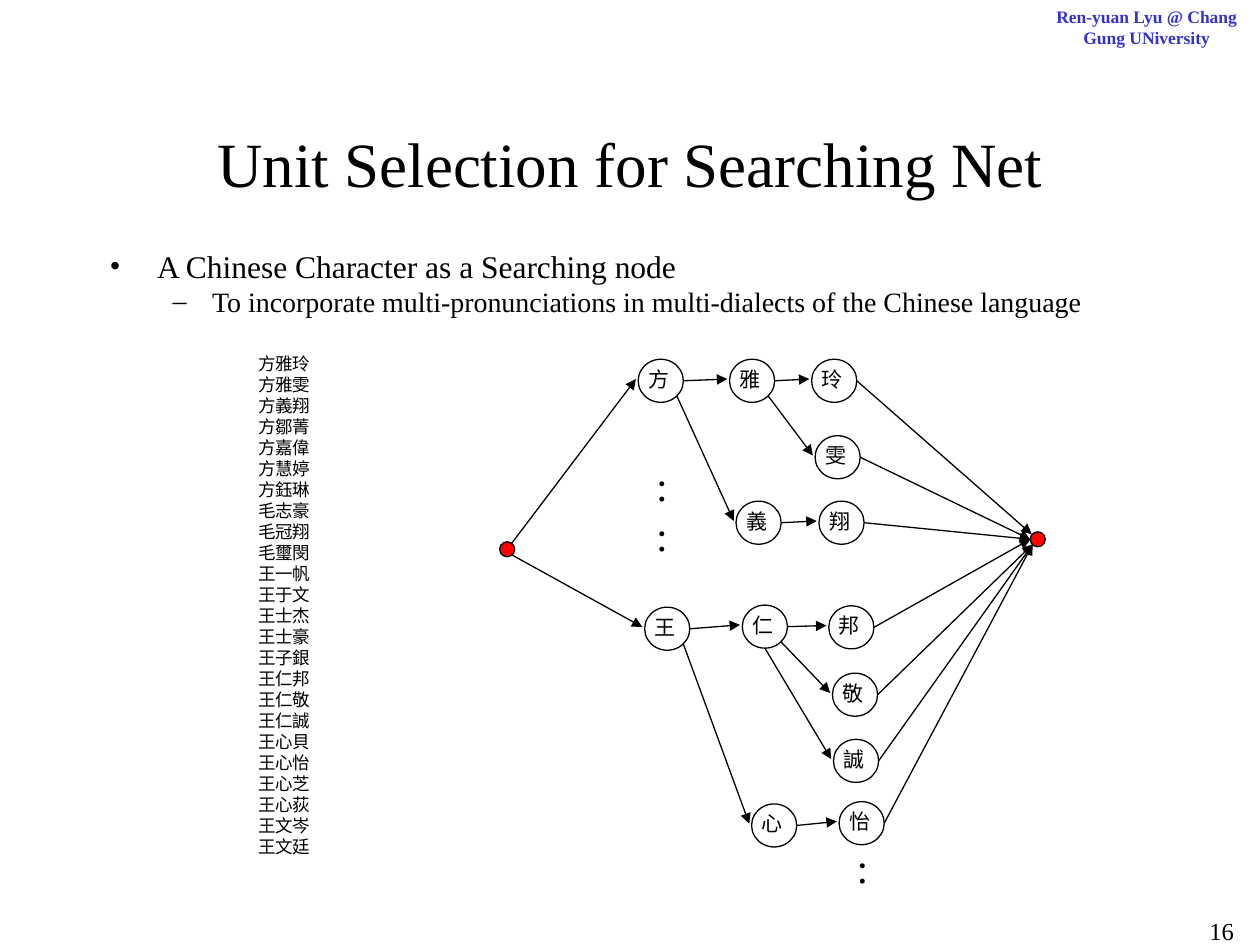
from lxml.etree import SubElement
from pptx import Presentation
from pptx.dml.color import RGBColor
from pptx.enum.shapes import MSO_CONNECTOR, MSO_SHAPE
from pptx.enum.text import MSO_ANCHOR, MSO_AUTO_SIZE, PP_ALIGN
from pptx.oxml.ns import qn
from pptx.util import Pt

# Content
TITLE = "Unit Selection for Searching Net"
# text, level, size, left margin, hanging indent, space before, bullet
OUTLINE = [
    ("A Chinese Character as a Searching node", 0, 18, 27, 27, 0, "•"),
    ("To incorporate multi-pronunciations in multi-dialects of the Chinese language",
     1, 16, 58.5, 22.5, 3.5, "–"),
]
NAMES = """方雅玲 方雅雯 方義翔 方鄒菁 方嘉偉 方慧婷 方鈺琳 毛志豪
毛冠翔 毛璽閔 王一帆 王于文 王士杰 王士豪 王子銀 王仁邦
王仁敬 王仁誠 王心貝 王心怡 王心芝 王心荻 王文岑 王文廷""".split()
AFFILIATION = "Ren-yuan Lyu @ Chang Gung UNiversity"
PAGE = "16"

# Left and top of each character node
NODES = {
    "方": (364.7, 205.3), "雅": (416.9, 205.3), "玲": (463.8, 205.3),
    "雯": (465.8, 249), "義": (420.6, 286.4), "翔": (468, 286.4),
    "王": (368.4, 347), "仁": (424.2, 345.8), "邦": (473.6, 346.2),
    "敬": (475.7, 384.7), "誠": (476.3, 422.5),
    "心": (429.5, 459.4), "怡": (479.5, 458.1),
}
START, GOAL = (285.5, 309.6), (588.7, 303.9)
# from, exit side, to
LINKS = [
    ("方", "right", "雅"), ("雅", "right", "玲"), ("雅", "corner", "雯"),
    ("方", "corner", "義"), ("義", "right", "翔"), ("王", "right", "仁"),
    ("仁", "right", "邦"), ("仁", "corner", "敬"), ("仁", "bottom", "誠"),
    ("王", "corner", "心"), ("心", "right", "怡"),
]
FIRST = [("upper", "方"), ("lower", "王")]
LAST = [("玲", "upper"), ("雯", "left"), ("翔", "left"), ("邦", "left"),
        ("敬", "lower"), ("誠", "lower"), ("怡", "lower")]
# lines of dots, left, top, height
ELLIPSES = [(2, 367.8, 258.8, 64.8), (1, 482.4, 477.4, 36)]

# Geometry
NODE_W, NODE_H, DOT = 25.8, 24.6, 8.6
LABEL_DX, LABEL_DY, LABEL_W, LABEL_H = -1.3, 0.5, 25.2, 21.6
NODE_EXIT = {"right": (NODE_W, NODE_H / 2), "corner": (22.1, 21),
             "bottom": (NODE_W / 2, NODE_H)}
START_EXIT = {"upper": (6.5, 1.4), "lower": (6.5, 7.2)}
GOAL_ENTRY = {"upper": (0.9, 1.4), "left": (0, DOT / 2), "lower": (1.4, 7.2)}

FONT = "Times New Roman"
BLACK, RED, BLUE = "000000", "FF0000", "3333CC"

prs = Presentation()
prs.slide_width, prs.slide_height = Pt(720), Pt(540)
slide = prs.slides.add_slide(prs.slide_layouts[1])
shapes = slide.shapes


def color(hex_value):
    return RGBColor.from_string(hex_value)


def shift(point, offset):
    return point[0] + offset[0], point[1] + offset[1]


def style(paragraph, size, hex_value=BLACK, bold=False):
    for run in paragraph.runs:
        run.font.name, run.font.size, run.font.bold = FONT, Pt(size), bold
        run.font.color.rgb = color(hex_value)


def place(part, left, top, width, height):
    part.left, part.top, part.width, part.height = map(Pt, (left, top, width, height))


def add_text(text, left, top, width, height, size, align=PP_ALIGN.LEFT, wrap=True,
             hex_value=BLACK, bold=False):
    box = shapes.add_textbox(Pt(left), Pt(top), Pt(width), Pt(height))
    box.text_frame.word_wrap = wrap
    if not wrap:
        box.text_frame.auto_size = MSO_AUTO_SIZE.SHAPE_TO_FIT_TEXT
    box.text_frame.text = text
    for paragraph in box.text_frame.paragraphs:
        paragraph.alignment = align
        style(paragraph, size, hex_value, bold)
    return box


def add_circle(corner, width, height, fill=None):
    circle = shapes.add_shape(MSO_SHAPE.OVAL, *map(Pt, (*corner, width, height)))
    circle.shadow.inherit = False
    if fill:
        circle.fill.solid()
        circle.fill.fore_color.rgb = color(fill)
    else:
        circle.fill.background()
    circle.line.color.rgb = color(BLACK)
    circle.line.width = Pt(0.75)


def add_arrow(begin, end):
    arrow = shapes.add_connector(MSO_CONNECTOR.STRAIGHT, *map(Pt, (*begin, *end)))
    arrow.line.color.rgb = color(BLACK)
    arrow.line.width = Pt(0.75)
    SubElement(arrow.line._get_or_add_ln(), qn("a:tailEnd"), type="triangle")
    SubElement(arrow._element.spPr, qn("a:effectLst"))
    return arrow


def add_arrow_to_label(begin, character):
    end = shift(NODES[character], (LABEL_DX, LABEL_DY + LABEL_H / 2))
    add_arrow(begin, end).end_connect(labels[character], 1)


# Title
title = shapes.title
place(title, 54, 48, 612, 90)
title.text_frame.text = TITLE
title.text_frame.auto_size = MSO_AUTO_SIZE.NONE
title.text_frame.vertical_anchor = MSO_ANCHOR.MIDDLE
title.text_frame.paragraphs[0].alignment = PP_ALIGN.CENTER
style(title.text_frame.paragraphs[0], 36)

# Outline
body = slide.placeholders[1]
place(body, 55.5, 142, 612, 57.6)
body.text_frame.text = "\n".join(item[0] for item in OUTLINE)
body.text_frame.auto_size = MSO_AUTO_SIZE.NONE
for paragraph, item in zip(body.text_frame.paragraphs, OUTLINE):
    _, level, size, margin, hanging, before, bullet = item
    paragraph.level = level
    paragraph.line_spacing = 0.8
    paragraph.space_before = Pt(before)
    properties = paragraph._p.get_or_add_pPr()
    properties.set("marL", str(Pt(margin)))
    properties.set("indent", str(-Pt(hanging)))
    bullet_color = SubElement(properties, qn("a:buClr"))
    SubElement(bullet_color, qn("a:srgbClr"), val=BLACK)
    SubElement(properties, qn("a:buFont"), typeface=FONT)
    SubElement(properties, qn("a:buChar"), char=bullet)
    style(paragraph, size)

# Name list
add_text("\n".join(NAMES), 140.4, 198, 45, 296, 10, wrap=False)

# Character nodes with their labels
labels = {}
for character, corner in NODES.items():
    add_circle(corner, NODE_W, NODE_H)
    labels[character] = add_text(character, *shift(corner, (LABEL_DX, LABEL_DY)),
                                 LABEL_W, LABEL_H, 12, PP_ALIGN.CENTER)

# Start and goal
for corner in (START, GOAL):
    add_circle(corner, DOT, DOT, RED)

# Arrows
for side, character in FIRST:
    add_arrow_to_label(shift(START, START_EXIT[side]), character)
for source, side, target in LINKS:
    add_arrow_to_label(shift(NODES[source], NODE_EXIT[side]), target)
for character, side in LAST:
    add_arrow(shift(NODES[character], NODE_EXIT["right"]),
              shift(GOAL, GOAL_ENTRY[side]))

# Continuation dots
for count, left, top, height in ELLIPSES:
    add_text("\n".join(":" * count), left, top, 21, height, 24, wrap=False)

# Affiliation and page number
add_text(AFFILIATION, 590.4, 0, 129.6, 36, 10, PP_ALIGN.CENTER,
         hex_value=BLUE, bold=True)
add_text(PAGE, 684, 520, 36, 20, 14)

prs.save("out.pptx")
